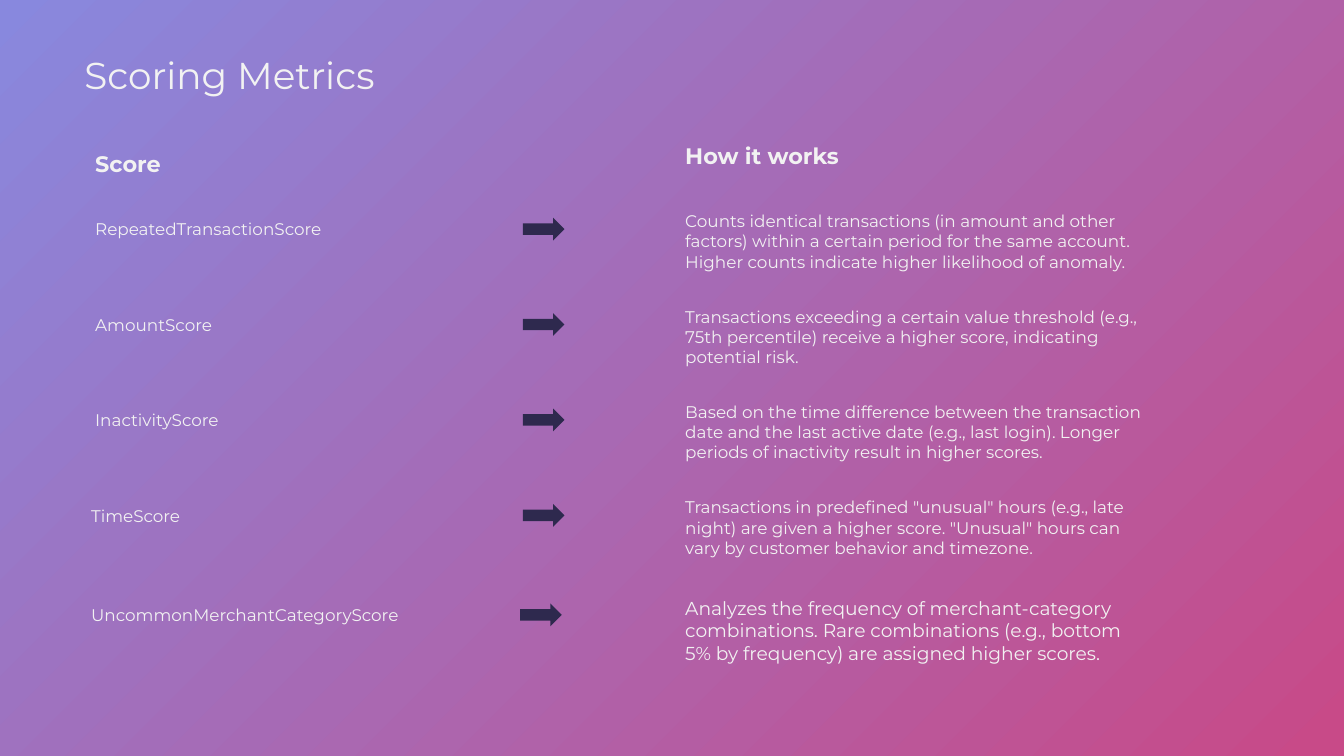
import pptx
import pptx.util
import pptx.dml.color
import pptx.enum.shapes
import pptx.enum.text
import pptx.oxml
import lxml.etree

Inches = pptx.util.Inches
Kind = pptx.enum.shapes.MSO_SHAPE

deck = pptx.Presentation()
deck.slide_width = Inches(10)
deck.slide_height = Inches(5.625)
slide = deck.slides.add_slide(deck.slide_layouts[6])


def color(code):
    return pptx.dml.color.RGBColor.from_string(code)


def write(text, left, top, width, height, size=9, bold=False, inset=0.05):
    box = slide.shapes.add_textbox(
        Inches(left), Inches(top), Inches(width), Inches(height))
    frame = box.text_frame
    frame.word_wrap = True
    frame.auto_size = pptx.enum.text.MSO_AUTO_SIZE.NONE
    frame.margin_top = frame.margin_bottom = Inches(inset)
    run = frame.paragraphs[0].add_run()
    run.text = text
    run.font.name = "Montserrat"
    run.font.size = pptx.util.Pt(size)
    run.font.bold = bold
    run.font.color.rgb = color("F2F2F2")


# Backdrop: gradient spreading from the bottom right corner
back = slide.shapes.add_shape(
    Kind.RECTANGLE, 0, 0, deck.slide_width, deck.slide_height)
back.shadow.inherit = False
back.line.fill.background()
back.fill.gradient()
for stop, (place, code) in zip(back.fill.gradient_stops,
                               [(0.01, "C84A88"), (1, "8888DE")]):
    stop.position = place
    stop.color.rgb = color(code)
grad = back.element.spPr.find(pptx.oxml.ns.qn("a:gradFill"))
grad.remove(grad.find(pptx.oxml.ns.qn("a:lin")))
track = lxml.etree.SubElement(grad, pptx.oxml.ns.qn("a:path"), path="circle")
lxml.etree.SubElement(track, pptx.oxml.ns.qn("a:fillToRect"),
                      l="100000", t="100000")
lxml.etree.SubElement(grad, pptx.oxml.ns.qn("a:tileRect"),
                      r="-100000", b="-100000")

# Title and column heads
write("Scoring Metrics", 0.53, 0.29, 5.14, 0.58, size=20, inset=0.1)
write("Score", 0.61, 1.07, 1.31, 0.3, size=12, bold=True)
write("How it works", 5, 1.01, 2.45, 0.3, size=12, bold=True)

# Rows: score, its left edge, row top, arrow left, note size, note
rows = [
    ("RepeatedTransactionScore", 0.61, 1.52, 3.89, 9,
     "Counts identical transactions (in amount and other factors) within a "
     "certain period for the same account. Higher counts indicate higher "
     "likelihood of anomaly."),
    ("AmountScore", 0.61, 2.23, 3.89, 9,
     "Transactions exceeding a certain value threshold (e.g., 75th "
     "percentile) receive a higher score, indicating potential risk."),
    ("InactivityScore", 0.61, 2.94, 3.89, 9,
     "Based on the time difference between the transaction date and the "
     "last active date (e.g., last login). Longer periods of inactivity "
     "result in higher scores."),
    ("TimeScore", 0.58, 3.65, 3.89, 9,
     'Transactions in predefined "unusual" hours (e.g., late night) are '
     'given a higher score. "Unusual" hours can vary by customer behavior '
     "and timezone."),
    ("UncommonMerchantCategoryScore", 0.58, 4.39, 3.87, 10,
     "Analyzes the frequency of merchant-category combinations. Rare "
     "combinations (e.g., bottom 5% by frequency) are assigned higher "
     "scores."),
]
for score, left, top, start, size, note in rows:
    write(score, left, top + 0.06, 2.5, 0.25)
    write(note, 5, top, 3.61, 0.56 if size == 9 else 0.61, size=size)
    arrow = slide.shapes.add_shape(
        Kind.RIGHT_ARROW, Inches(start), Inches(top + 0.1),
        Inches(0.31), Inches(0.17))
    arrow.shadow.inherit = False
    arrow.fill.solid()
    arrow.fill.fore_color.rgb = color("2E294E")
    arrow.line.fill.background()

deck.save("out.pptx")
